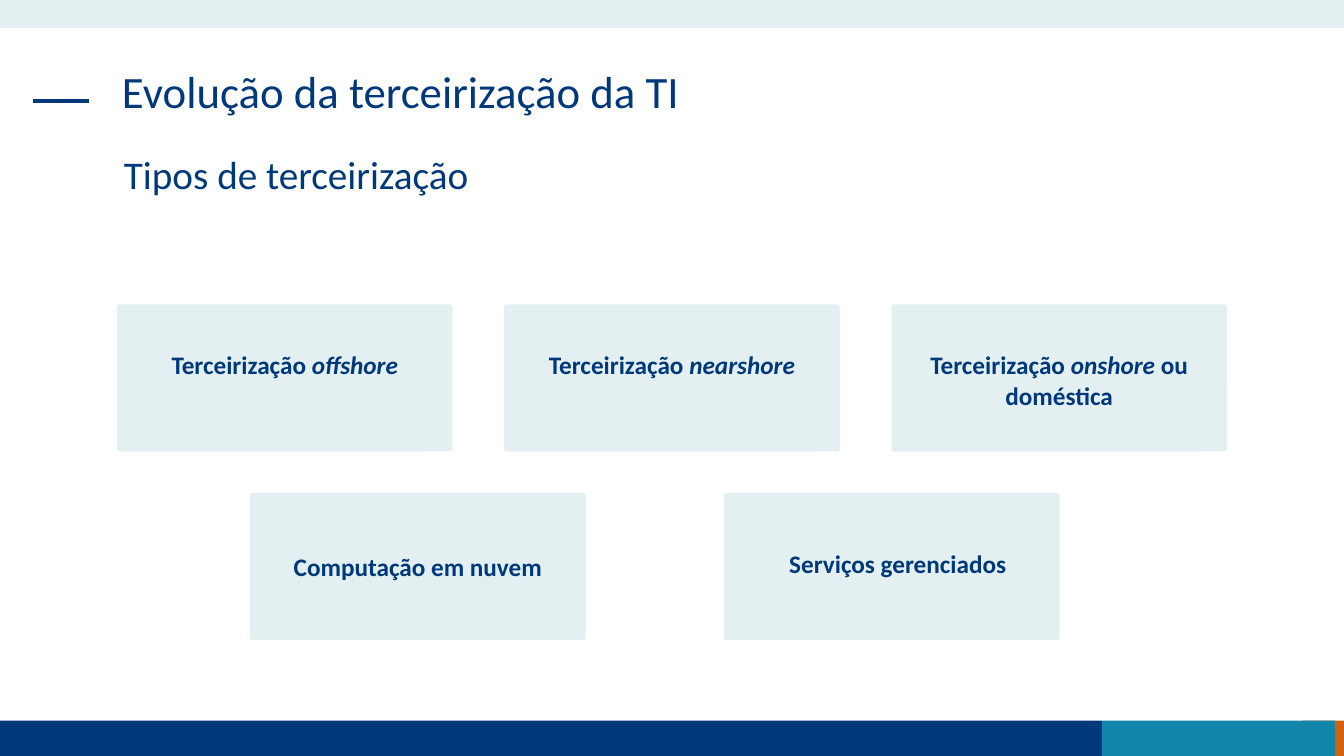
import pptx
import pptx.util
import pptx.dml.color
import pptx.enum.shapes
import pptx.enum.text
import pptx.oxml.ns
import lxml.etree

Inches = pptx.util.Inches
Pt = pptx.util.Pt
SHAPES = pptx.enum.shapes.MSO_SHAPE
ALIGN = pptx.enum.text.PP_ALIGN

NAVY, TEAL, ORANGE, PALE = "00397B", "1185AA", "D06110", "E3EFF1"
SLIDE_WIDTH, SLIDE_HEIGHT = 13.33, 7.5
CARD_WIDTH, CARD_HEIGHT = 3.33, 1.46
LABEL_WIDTH, LABEL_HEIGHT = 2.96, 0.4


def color(value):
    return pptx.dml.color.RGBColor.from_string(value)


def add_block(slide, kind, left, top, width, height, fill):
    shape = slide.shapes.add_shape(
        kind, Inches(left), Inches(top), Inches(width), Inches(height))
    shape.shadow.inherit = False
    shape.fill.solid()
    shape.fill.fore_color.rgb = color(fill)
    shape.line.fill.background()
    return shape


def format_paragraph(paragraph, size, alignment, bold=False):
    paragraph.alignment = alignment
    paragraph.font.name = "Calibri"
    paragraph.font.size = Pt(size)
    paragraph.font.bold = bold
    paragraph.font.color.rgb = color(NAVY)


def add_frame(slide):
    """Top band, footer bands and the dash beside the title."""
    add_block(slide, SHAPES.RECTANGLE, 0, 0, SLIDE_WIDTH, 0.28, PALE)
    footer_height = 0.35
    footer_top = SLIDE_HEIGHT - footer_height
    for left, width, fill in ((12.92, 0.41, ORANGE), (0, 10.93, NAVY),
                              (10.93, 2.31, TEAL)):
        add_block(slide, SHAPES.RECTANGLE, left, footer_top, width,
                  footer_height, fill)

    dash = slide.shapes.add_connector(
        pptx.enum.shapes.MSO_CONNECTOR.STRAIGHT,
        Inches(0.33), Inches(1), Inches(0.88), Inches(1))
    dash.line.color.rgb = color(NAVY)
    dash.line.width = Pt(3)
    lxml.etree.SubElement(dash.element.spPr, pptx.oxml.ns.qn("a:effectLst"))


def set_heading(shape, text, size, left, top, width, height):
    shape.left, shape.top = Inches(left), Inches(top)
    shape.width, shape.height = Inches(width), Inches(height)
    frame = shape.text_frame
    frame.word_wrap = True
    frame.auto_size = pptx.enum.text.MSO_AUTO_SIZE.NONE
    frame.vertical_anchor = pptx.enum.text.MSO_ANCHOR.TOP
    frame.text = text
    paragraph = frame.paragraphs[0]
    paragraph.line_spacing = 0.9
    paragraph.space_before = Pt(10)
    format_paragraph(paragraph, size, ALIGN.LEFT)


def add_headings(slide):
    set_heading(slide.shapes.title, "Evolução da terceirização da TI", 32,
                1.11, 0.64, 11.1, 0.94)
    subtitle = slide.shapes.add_textbox(0, 0, 0, 0)
    set_heading(subtitle, "Tipos de terceirização", 28, 1.13, 1.49, 3.95, 0.59)


def add_card(slide, left, top, runs, label_drop, label_shift=0):
    """Rounded card with its label; runs are (text, italic) pairs."""
    card = add_block(slide, SHAPES.ROUNDED_RECTANGLE, left, top,
                     CARD_WIDTH, CARD_HEIGHT, PALE)
    card.adjustments[0] = 0.019
    label_left = left + (CARD_WIDTH - LABEL_WIDTH) / 2 + label_shift
    label = slide.shapes.add_textbox(
        Inches(label_left), Inches(top + label_drop),
        Inches(LABEL_WIDTH), Inches(LABEL_HEIGHT))
    label.text_frame.word_wrap = True
    label.text_frame.auto_size = pptx.enum.text.MSO_AUTO_SIZE.SHAPE_TO_FIT_TEXT
    paragraph = label.text_frame.paragraphs[0]
    format_paragraph(paragraph, 18, ALIGN.CENTER, bold=True)
    for text, italic in runs:
        run = paragraph.add_run()
        run.text = text
        if italic:
            run.font.italic = True


def add_cards(slide):
    # Upper row: kinds of outsourcing by location
    for column, (place, ending) in enumerate((
            ("offshore", ""), ("nearshore", ""), ("onshore", " ou doméstica"))):
        runs = [("Terceirização ", False), (place, True)]
        if ending:
            runs.append((ending, False))
        add_card(slide, 1.16 + column * 3.84, 3.02, runs, 0.4)
    # Lower row: kinds by service
    add_card(slide, 2.48, 4.89, [("Computação em nuvem", False)], 0.53)
    add_card(slide, 7.18, 4.89, [("Serviços gerenciados", False)], 0.5, 0.06)


def main():
    presentation = pptx.Presentation()
    presentation.slide_width = Inches(SLIDE_WIDTH)
    presentation.slide_height = Inches(SLIDE_HEIGHT)
    slide = presentation.slides.add_slide(presentation.slide_layouts[5])
    add_frame(slide)
    add_headings(slide)
    add_cards(slide)
    presentation.save("out.pptx")


if __name__ == "__main__":
    main()
